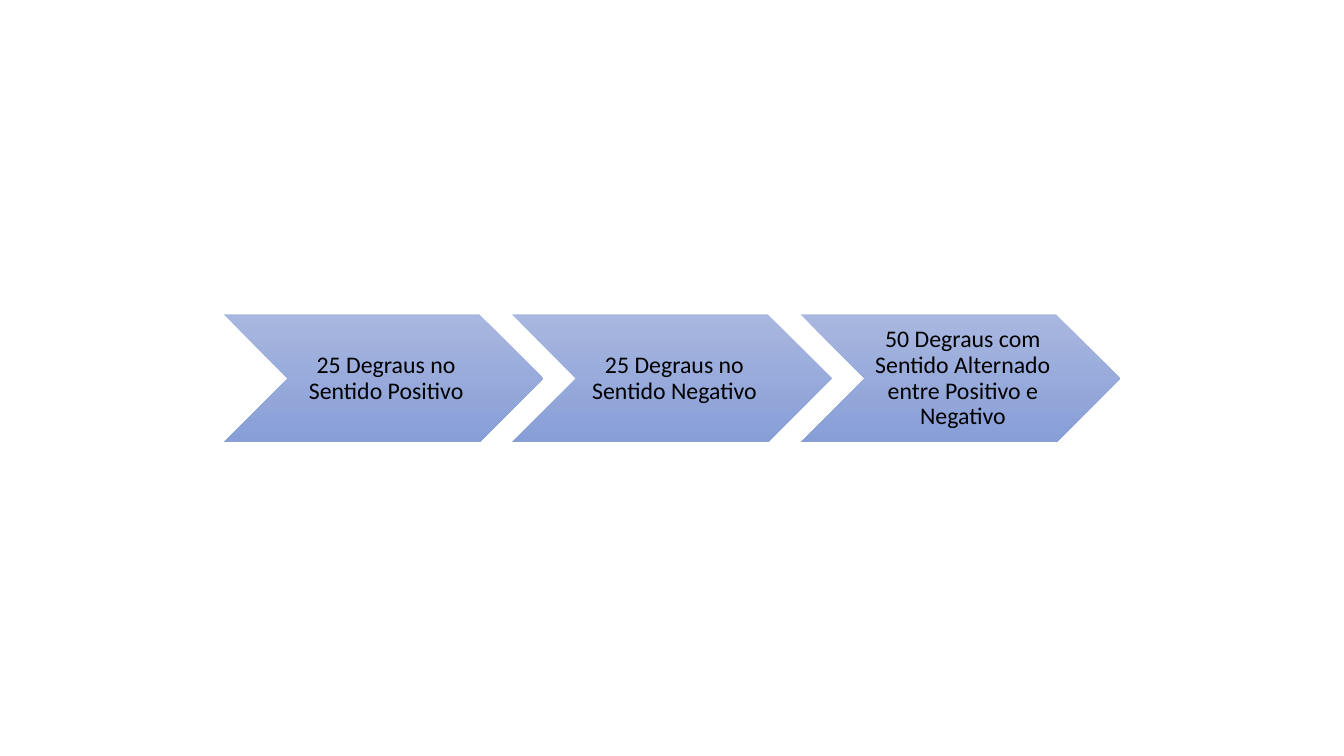
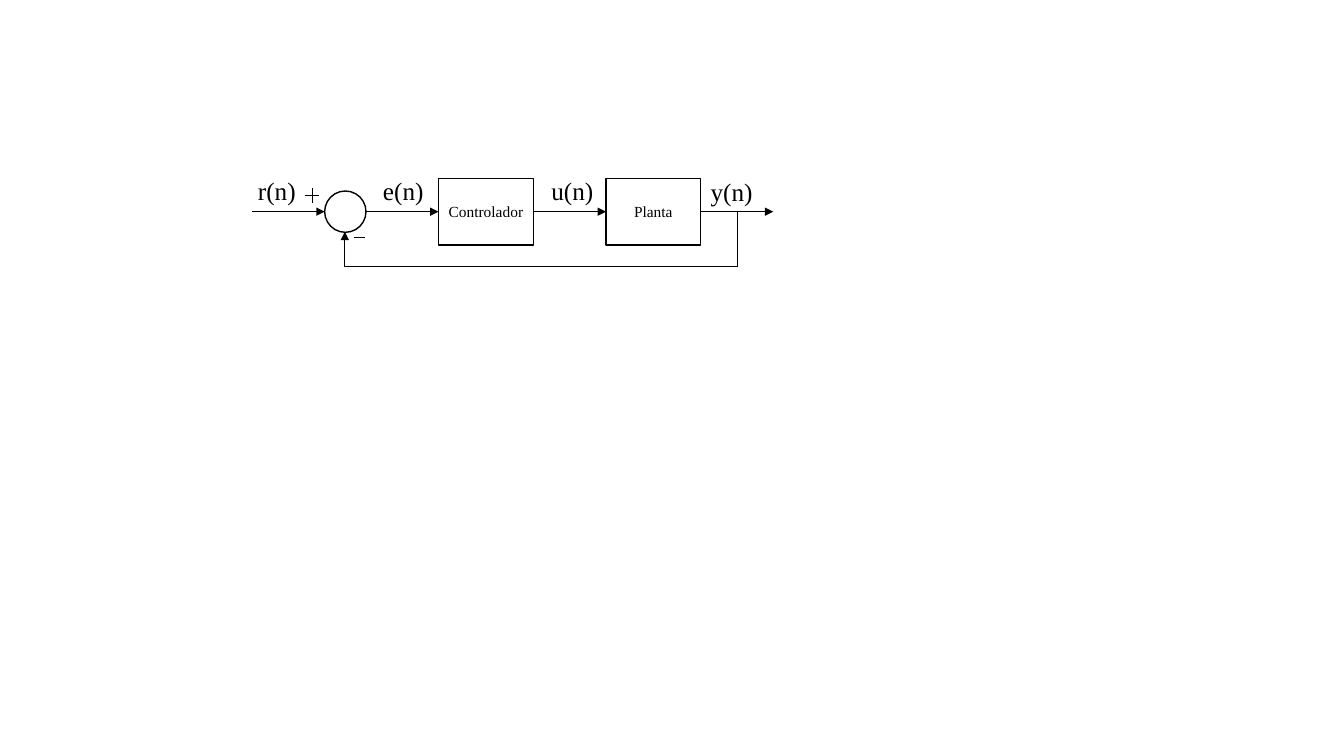
"""Builds two slides: a three-step sequence and a feedback control loop."""
from lxml.etree import SubElement
from pptx import Presentation
from pptx.dml.color import RGBColor
from pptx.enum.shapes import MSO_CONNECTOR, MSO_SHAPE
from pptx.enum.text import MSO_ANCHOR, MSO_AUTO_SIZE, PP_ALIGN
from pptx.oxml.ns import qn
from pptx.util import Inches, Pt

BLACK = RGBColor(0x00, 0x00, 0x00)
WHITE = RGBColor(0xFF, 0xFF, 0xFF)
BLUE_TOP = RGBColor(0xA8, 0xB7, 0xDF)
BLUE_BOTTOM = RGBColor(0x88, 0x9E, 0xD7)
SANS = "Calibri"
SERIF = "Times New Roman"


def add_text(sp, text, font, size, align):
    """Write one styled run into a shape."""
    p = sp.text_frame.paragraphs[0]
    p.alignment = align
    r = p.add_run()
    r.text = text
    r.font.name = font
    r.font.size = Pt(size)
    r.font.color.rgb = BLACK
    return p


def add_line(s, x1, y1, x2, y2, kind=MSO_CONNECTOR.STRAIGHT, arrow=True):
    """Draw a thin black connector, with an arrowhead at its end if asked."""
    c = s.shapes.add_connector(kind, Inches(x1), Inches(y1), Inches(x2), Inches(y2))
    c.line.color.rgb = BLACK
    c.line.width = Pt(0.5)
    if arrow:
        SubElement(c._element.spPr.get_or_add_ln(), qn("a:tailEnd"), type="triangle")
    SubElement(c._element.spPr, qn("a:effectLst"))
    return c


prs = Presentation()
prs.slide_width = Inches(13.33)
prs.slide_height = Inches(7.5)
blank = prs.slide_layouts[6]

s = prs.slides.add_slide(blank)
steps = [
    "25 Degraus no Sentido Positivo",
    "25 Degraus no Sentido Negativo",
    "50 Degraus com Sentido Alternado entre Positivo e Negativo",
]
for i, text in enumerate(steps):
    sp = s.shapes.add_shape(MSO_SHAPE.CHEVRON, Inches(2.22 + 2.86 * i), Inches(3.12),
                            Inches(3.17), Inches(1.27))
    sp.shadow.inherit = False
    sp.line.fill.background()
    sp.fill.gradient()
    sp.fill.gradient_angle = 270
    for stop, color in zip(sp.fill.gradient_stops, (BLUE_TOP, BLUE_BOTTOM)):
        stop.color.rgb = color
    tf = sp.text_frame
    tf.word_wrap = True
    tf.vertical_anchor = MSO_ANCHOR.MIDDLE
    tf.margin_left = Inches(0.07)
    tf.margin_top = tf.margin_right = tf.margin_bottom = Inches(0.02)
    p = add_text(sp, text, SANS, 17, PP_ALIGN.CENTER)
    p.line_spacing = 0.9

s = prs.slides.add_slide(blank)
axis = 2.1
nodes = []
for kind, x, w, h, text in [
    (MSO_SHAPE.RECTANGLE, 4.35, 0.94, 0.66, "Controlador"),
    (MSO_SHAPE.RECTANGLE, 6.01, 0.94, 0.66, "Planta"),
    (MSO_SHAPE.OVAL, 3.22, 0.41, 0.41, ""),
]:
    sp = s.shapes.add_shape(kind, Inches(x), Inches(axis - h / 2), Inches(w), Inches(h))
    sp.shadow.inherit = False
    sp.fill.solid()
    sp.fill.fore_color.rgb = WHITE
    sp.line.color.rgb = BLACK
    sp.line.width = Pt(1)
    if text:
        sp.text_frame.vertical_anchor = MSO_ANCHOR.MIDDLE
        add_text(sp, text, SERIF, 11, PP_ALIGN.CENTER)
    nodes.append(sp)
controller, plant, summing = nodes

for x1, x2, source, target in [
    (3.63, 4.35, None, controller),
    (5.29, 6.01, controller, plant),
    (6.95, 7.67, plant, None),
    (2.5, 3.22, None, None),
]:
    c = add_line(s, x1, axis, x2, axis)
    if source:
        c.begin_connect(source, 3)
    if target:
        c.end_connect(target, 1)

feedback = add_line(s, 7.31, axis, 3.42, 2.3, MSO_CONNECTOR.ELBOW)
geom = feedback._element.spPr.find(qn("a:prstGeom"))
geom.set("prst", "bentConnector4")
guides = geom.find(qn("a:avLst"))
for name, value in (("adj1", 0), ("adj2", 271400)):
    SubElement(guides, qn("a:gd"), name=name, fmla=f"val {value}")

for x1, y1, x2, y2 in [
    (3.03, 1.94, 3.16, 1.94),
    (3.1, 1.87, 3.1, 2.01),
    (3.51, 2.35, 3.62, 2.35),
]:
    add_line(s, x1, y1, x2, y2, arrow=False)

for text, x, y, w in [
    ("r(n)", 2.46, 1.69, 0.58),
    ("e(n)", 3.7, 1.69, 0.62),
    ("u(n)", 5.37, 1.69, 0.62),
    ("y(n)", 6.95, 1.7, 0.62),
]:
    sp = s.shapes.add_textbox(Inches(x), Inches(y), Inches(w), Inches(0.4))
    sp.text_frame.word_wrap = False
    sp.text_frame.auto_size = MSO_AUTO_SIZE.SHAPE_TO_FIT_TEXT
    add_text(sp, text, SERIF, 18, PP_ALIGN.LEFT)

prs.save("out.pptx")
